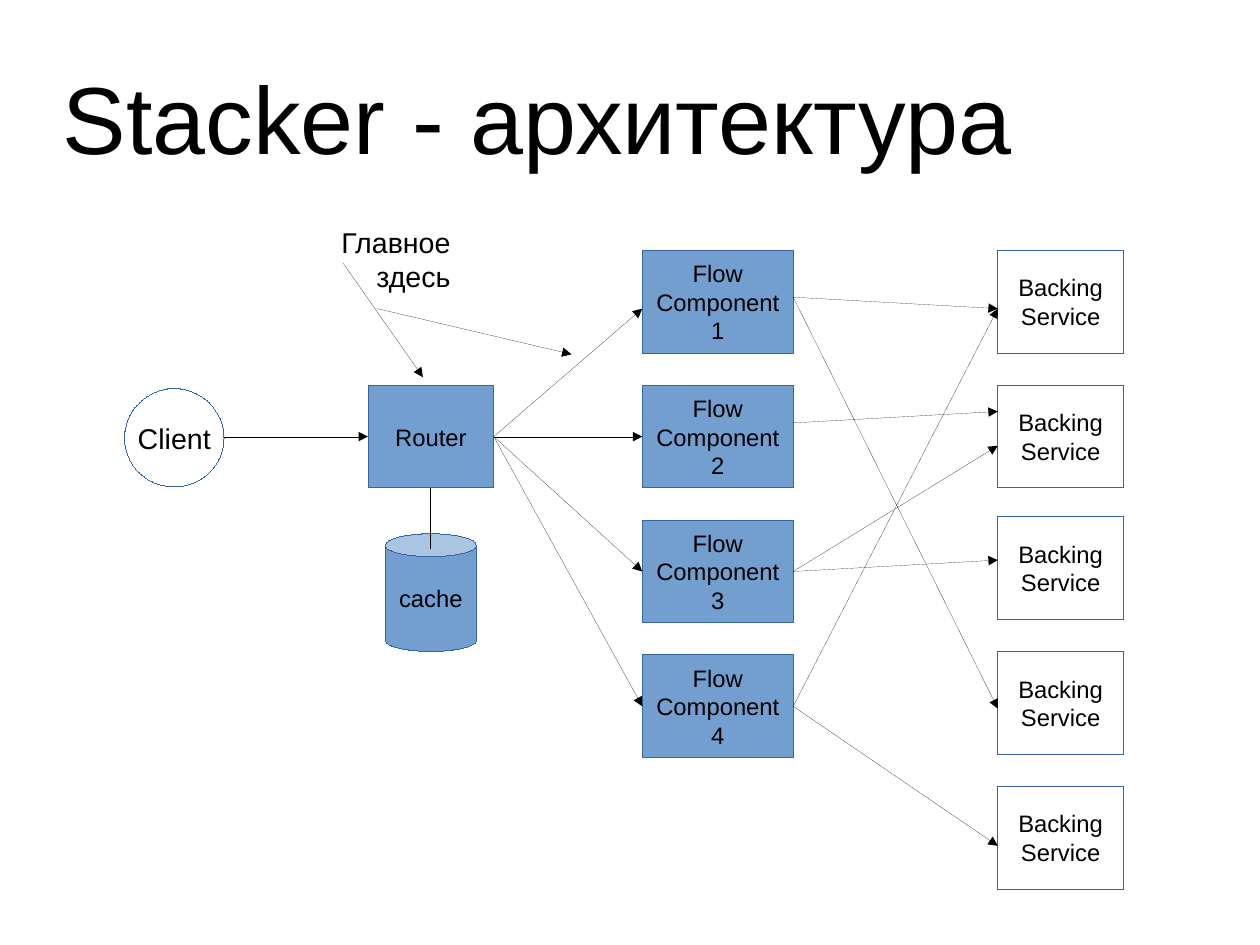
from dataclasses import dataclass

from lxml.etree import SubElement
from pptx import Presentation
from pptx.dml.color import RGBColor as Rgb
from pptx.enum.shapes import MSO_CONNECTOR as Link, MSO_SHAPE as Kind
from pptx.enum.text import MSO_ANCHOR as Anchor, PP_ALIGN as Align
from pptx.oxml.ns import qn
from pptx.util import Inches, Pt


@dataclass(frozen=True)
class Theme:
    font: str = "Arial"
    ink: Rgb = Rgb(0x00, 0x00, 0x00)
    blue: Rgb = Rgb(0x72, 0x9F, 0xCF)
    white: Rgb = Rgb(0xFF, 0xFF, 0xFF)
    edge: Rgb = Rgb(0x34, 0x65, 0xA4)
    head: int = 60
    label: int = 18
    body: int = 15


@dataclass(frozen=True)
class Node:
    text: str
    x: float
    y: float
    w: float
    h: float = 0.9
    kind: Kind = Kind.RECTANGLE
    fill: Rgb = Theme.blue
    size: int = Theme.body


@dataclass(frozen=True)
class Wire:
    x1: float
    y1: float
    x2: float
    y2: float
    arrow: bool = True


CM = 2.54  # centimetres in an inch; the page is 28 by 21 cm
TOP, LEFT, BOTTOM, RIGHT = range(4)
NEAR = 0.03  # a wire this close to the middle of a side is joined to it
STEP = 1.18  # pitch of boxes in a column

# Boxes
ROUTER = Node("Router", 3.22, 3.37, 1.1)
CACHE = Node("cache", 3.37, 4.67, 0.8, 1.03, Kind.CAN)
CLIENT = Node("Client", 1.09, 3.4, 0.87, 0.86, Kind.OVAL, Theme.white, Theme.label)
FLOWS = [Node(f"Flow\nComponent\n{i + 1}", 5.62, 2.19 + i * STEP, 1.32)
         for i in range(4)]
BACKS = [Node("Backing\nService", 8.73, y, 1.1, fill=Theme.white)
         for y in (2.19, 2.19 + STEP, 4.52, 4.52 + STEP, 4.52 + 2 * STEP)]

# Wires: heights at both ends of each gap between columns
FAN = (2.7, 3.8, 5, 6.2)
CROSS = ((2.6, 2.7), (2.6, 6.2), (3.7, 3.6), (5, 4.9),
         (5, 3.9), (6.2, 2.7), (6.2, 7.4))
WIRES = [
    Wire(3.77, 4.27, 3.77, 4.8, arrow=False),
    Wire(1.96, 3.82, 3.22, 3.82),
    *(Wire(4.32, 3.8, 5.62, y) for y in FAN),
    *(Wire(6.94, a, 8.73, b) for a, b in CROSS),
    Wire(3, 2.3, 3.7, 3.3),
    Wire(3.3, 2.7, 5, 3.1),
]


def write(shape, text: str, *, size: int, align=Align.LEFT,
          anchor=Anchor.MIDDLE, wrap: bool = True, pad=(0.1, 0.05)) -> None:
    frame = shape.text_frame
    frame.word_wrap = wrap
    frame.vertical_anchor = anchor
    frame.margin_left = frame.margin_right = Inches(pad[0])
    frame.margin_top = frame.margin_bottom = Inches(pad[1])
    frame.text = text
    for para in frame.paragraphs:
        para.alignment = align
        para.font.name = Theme.font
        para.font.size = Pt(size)
        para.font.color.rgb = Theme.ink


def note(slide, text: str, x: float, y: float, w: float, h: float, **style) -> None:
    box = slide.shapes.add_textbox(Inches(x), Inches(y), Inches(w), Inches(h))
    write(box, text, **style)


def trace(shape, color: Rgb, arrow: bool = False) -> None:
    """Give a shape or connector a hairline, with an arrowhead if asked."""
    shape.line.color.rgb = color
    edge = shape._element.spPr.find(qn("a:ln"))
    edge.set("w", "0")  # an unset width would fall back to the theme's
    if arrow:
        SubElement(edge, qn("a:tailEnd"), type="triangle")


def draw(slide, node: Node):
    shape = slide.shapes.add_shape(node.kind, Inches(node.x), Inches(node.y),
                                   Inches(node.w), Inches(node.h))
    shape.shadow.inherit = False
    shape.fill.solid()
    shape.fill.fore_color.rgb = node.fill
    trace(shape, Theme.edge)
    write(shape, node.text, size=node.size, align=Align.CENTER, wrap=False)
    return shape


def find(boxes: list, x: float, y: float):
    """Return the box and side whose middle lies at the point, if any."""
    for node, shape in boxes:
        mid_x, mid_y = node.x + node.w / 2, node.y + node.h / 2
        spots = {TOP: (mid_x, node.y), LEFT: (node.x, mid_y),
                 BOTTOM: (mid_x, node.y + node.h), RIGHT: (node.x + node.w, mid_y)}
        for side, (sx, sy) in spots.items():
            if abs(sx - x) < NEAR and abs(sy - y) < NEAR:
                return shape, side
    return None


def join(slide, wire: Wire, boxes: list) -> None:
    line = slide.shapes.add_connector(Link.STRAIGHT, Inches(wire.x1), Inches(wire.y1),
                                      Inches(wire.x2), Inches(wire.y2))
    if start := find(boxes, wire.x1, wire.y1):
        line.begin_connect(*start)
    if end := find(boxes, wire.x2, wire.y2):
        line.end_connect(*end)
    trace(line, Theme.ink, wire.arrow)
    SubElement(line._element.spPr, qn("a:effectLst"))


def main() -> None:
    deck = Presentation()
    deck.slide_width = Inches(28 / CM)
    deck.slide_height = Inches(21 / CM)
    slide = deck.slides.add_slide(deck.slide_layouts[6])

    # Title
    note(slide, "Stacker - архитектура", 0.55, 0.33, 9.92, 1.38,
         size=Theme.head, pad=(0, 0))

    # Diagram
    nodes = [CACHE, ROUTER, CLIENT, *FLOWS, *BACKS]
    drawn = [(node, draw(slide, node)) for node in nodes]
    boxes = [pair for pair in drawn if pair[0].kind == Kind.RECTANGLE]
    for wire in WIRES:
        join(slide, wire, boxes)

    # Remark
    note(slide, "Главное\nздесь", 2.84, 1.92, 1.2, 0.66,
         size=Theme.label, align=Align.RIGHT, anchor=Anchor.TOP)

    deck.save("out.pptx")


if __name__ == "__main__":
    main()
